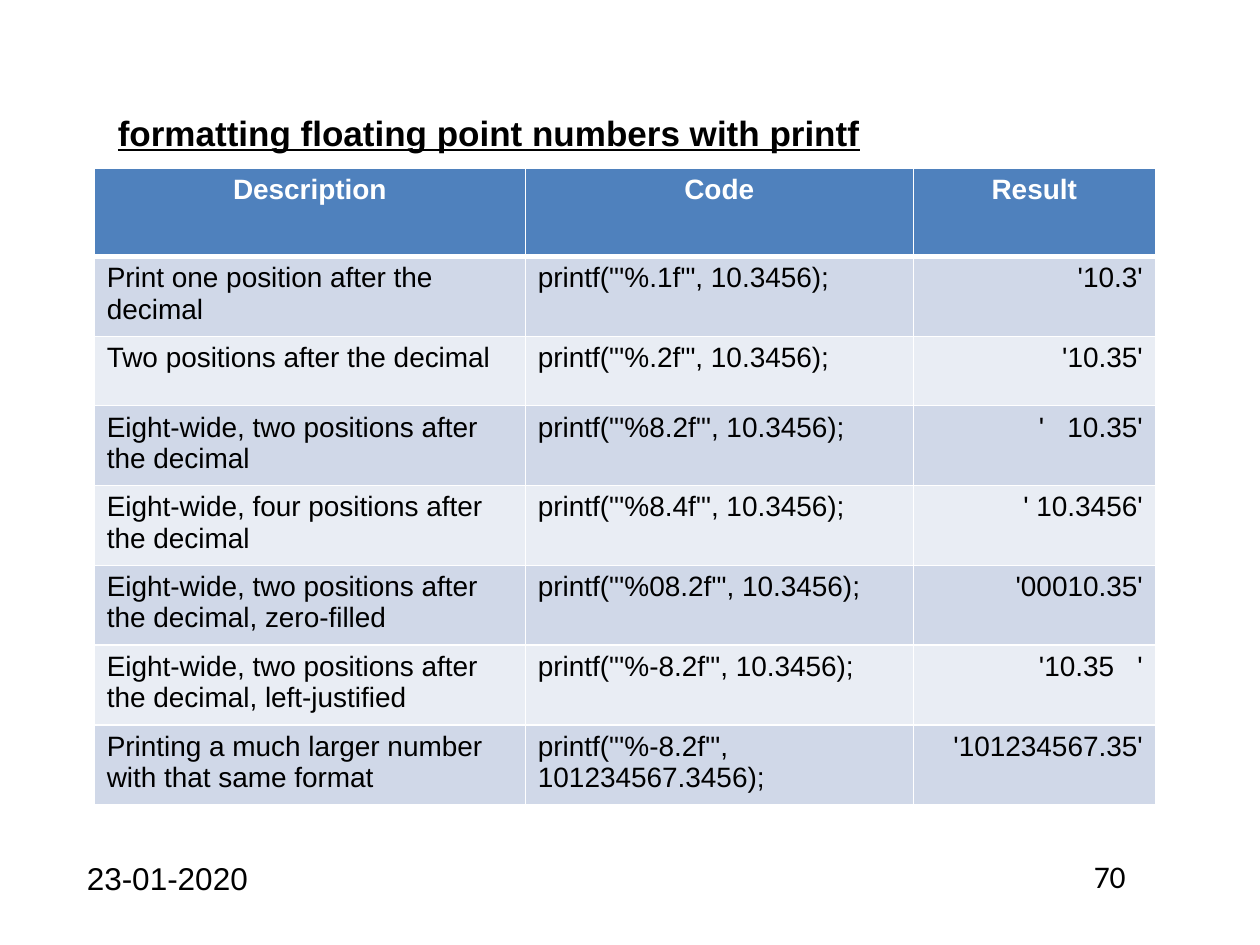
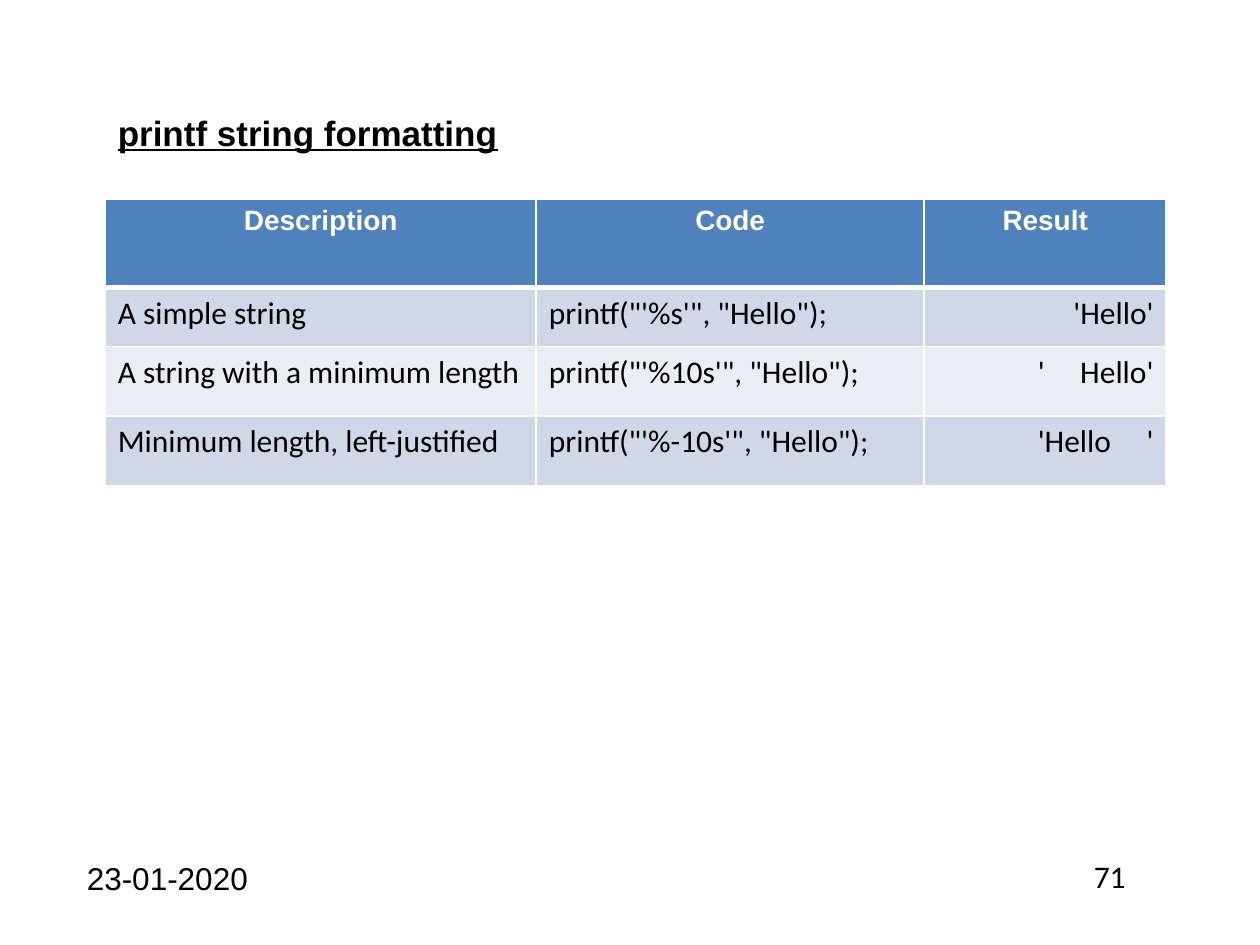
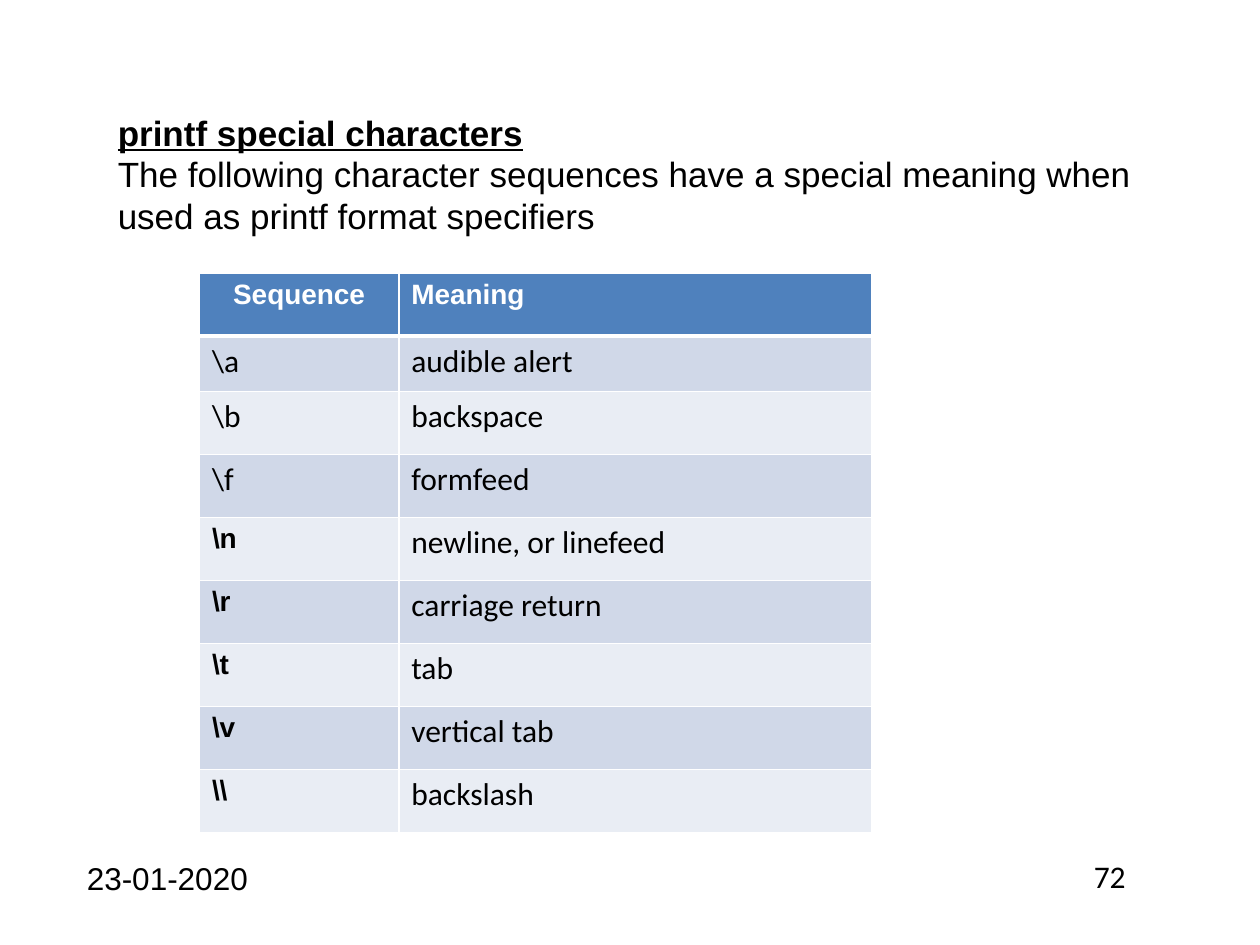
from lxml import etree
from pptx import Presentation
from pptx.dml.color import RGBColor
from pptx.enum.text import MSO_ANCHOR, MSO_AUTO_SIZE, PP_ALIGN
from pptx.oxml.ns import qn
from pptx.util import Cm, Pt

LEFT, CENTER, RIGHT = PP_ALIGN.LEFT, PP_ALIGN.CENTER, PP_ALIGN.RIGHT
TOP = MSO_ANCHOR.TOP
NO_FIT = MSO_AUTO_SIZE.NONE

BLACK = RGBColor(0x00, 0x00, 0x00)
WHITE = RGBColor(0xFF, 0xFF, 0xFF)
HEADER_BLUE = RGBColor(0x4F, 0x81, 0xBD)
DARK_BAND = RGBColor(0xD0, 0xD8, 0xE8)
LIGHT_BAND = RGBColor(0xE9, 0xED, 0xF4)

SANS, HUMANIST = "Arial", "Calibri"
CODE_LAYOUT, INTRO_LAYOUT = 5, 1
FIRST_PAGE = 70
DATE = "23-01-2020"
MARGIN = Cm(2.12)
HEADING_WIDTH = Cm(22.01)

PRINTF_WIDTHS = [8.69, 7.82, 4.88]
PRINTF_ALIGNS = [LEFT, LEFT, RIGHT]
PRINTF_HEADER = ["Description", "Code", "Result"]

FLOAT_ROWS = [
    ["Print one position after the decimal", """printf("'%.1f'", 10.3456);""", "'10.3'"],
    ["Two positions after the decimal", """printf("'%.2f'", 10.3456);""", "'10.35'"],
    ["Eight-wide, two positions after the decimal", """printf("'%8.2f'", 10.3456);""", "'   10.35'"],
    ["Eight-wide, four positions after the decimal", """printf("'%8.4f'", 10.3456);""", "' 10.3456'"],
    ["Eight-wide, two positions after the decimal, zero-filled",
     """printf("'%08.2f'", 10.3456);""", "'00010.35'"],
    ["Eight-wide, two positions after the decimal, left-justified",
     """printf("'%-8.2f'", 10.3456);""", "'10.35   '"],
    ["Printing a much larger number with that same format",
     """printf("'%-8.2f'", 101234567.3456);""", "'101234567.35'"],
]

STRING_ROWS = [
    ["A simple string", """printf("'%s'", "Hello");""", "'Hello'"],
    ["A string with a minimum length", """printf("'%10s'", "Hello");""", "'     Hello'"],
    ["Minimum length, left-justified", """printf("'%-10s'", "Hello");""", "'Hello     '"],
]

SEQUENCE_ROWS = [
    [r"\a", "audible alert"],
    [r"\b", "backspace"],
    [r"\f", "formfeed"],
    [r"\n", "newline, or linefeed"],
    [r"\r", "carriage return"],
    [r"\t", "tab"],
    [r"\v", "vertical tab"],
    [r"\\", "backslash"],
]
BOLD_SEQUENCES = {r"\n", r"\r", r"\t", r"\v", r"\\"}


def write(frame, text, size=18, font=SANS, color=BLACK, bold=False,
          underline=False, align=LEFT, plain=False):
    frame.word_wrap = True
    paragraph = frame.paragraphs[0]
    if plain:
        properties = paragraph._p.get_or_add_pPr()
        properties.set("marL", "0")
        properties.set("indent", "0")
        etree.SubElement(properties, qn("a:buNone"))
        paragraph.space_before = Pt(0)
    paragraph.alignment = align
    run = paragraph.add_run()
    run.text = text
    run.font.size = Pt(size)
    run.font.name = font
    run.font.color.rgb = color
    run.font.bold = bold
    run.font.underline = underline


def place(holder, top, height):
    holder.left, holder.top = MARGIN, Cm(top)
    holder.width, holder.height = HEADING_WIDTH, Cm(height)
    holder.text_frame.auto_size = NO_FIT
    holder.text_frame.vertical_anchor = TOP


def add_label(slide, text, left, top, width, height, **style):
    label = slide.shapes.add_textbox(Cm(left), Cm(top), Cm(width), Cm(height))
    write(label.text_frame, text, **style)


def start_slide(deck, layout, heading, page):
    slide = deck.slides.add_slide(deck.slide_layouts[layout])
    place(slide.shapes.title, 2.12, 1.11)
    write(slide.shapes.title.text_frame, heading, size=20, bold=True, underline=True)
    add_label(slide, DATE, 1.5, 17.2, 3.86, 1.19)
    add_label(slide, str(page), 21.8, 17.15, 2.33, 1.03, font=HUMANIST)
    return slide


def add_intro(slide, text):
    intro = slide.placeholders[1]
    place(intro, 2.95, 1.98)
    write(intro.text_frame, text, size=20, plain=True)


def set_borders(cell, row):
    widths = {"L": 1, "R": 1, "T": 3 if row == 1 else 1, "B": 3 if row == 0 else 1}
    properties = cell._tc.get_or_add_tcPr()
    for side, width in widths.items():
        line = etree.SubElement(properties, qn(f"a:ln{side}"), w=str(Pt(width)))
        fill = etree.SubElement(line, qn("a:solidFill"))
        etree.SubElement(fill, qn("a:srgbClr"), val=str(WHITE))


def fill_cell(cell, row, text, background, **style):
    set_borders(cell, row)
    cell.fill.solid()
    cell.fill.fore_color.rgb = background
    write(cell.text_frame, text, **style)


def add_code_table(slide, left, top, widths, heights, header, rows,
                   header_aligns, aligns, size, font):
    grid = slide.shapes.add_table(
        len(rows) + 1, len(widths), Cm(left), Cm(top), Cm(sum(widths)), Cm(sum(heights))).table
    for column, width in zip(grid.columns, widths):
        column.width = Cm(width)
    for line, height in zip(grid.rows, heights):
        line.height = Cm(height)
    for column, text in enumerate(header):
        fill_cell(grid.cell(0, column), 0, text, HEADER_BLUE, size=16,
                  color=WHITE, bold=True, align=header_aligns[column])
    for row, texts in enumerate(rows, 1):
        band = DARK_BAND if row % 2 else LIGHT_BAND
        for column, text in enumerate(texts):
            if text in BOLD_SEQUENCES:
                style = dict(size=16, font=SANS, bold=True)
            else:
                style = dict(size=size, font=font)
            fill_cell(grid.cell(row, column), row, text, band,
                      align=aligns[column], **style)


def main():
    deck = Presentation()
    deck.slide_width, deck.slide_height = Cm(25.4), Cm(19.05)

    floats = start_slide(deck, CODE_LAYOUT, "formatting floating point numbers with printf", FIRST_PAGE)
    add_code_table(floats, 1.9, 3.39, PRINTF_WIDTHS, [1.78, 1.19] + [1.4] * 2 + [1.45] * 4,
                   PRINTF_HEADER, FLOAT_ROWS, [CENTER] * 3, PRINTF_ALIGNS, 16, SANS)

    strings = start_slide(deck, CODE_LAYOUT, "printf string formatting", FIRST_PAGE + 1)
    add_code_table(strings, 2.12, 4.02, PRINTF_WIDTHS, [1.78, 1.19] + [1.4] * 2,
                   PRINTF_HEADER, STRING_ROWS, [CENTER] * 3, PRINTF_ALIGNS, 18, HUMANIST)

    sequences = start_slide(deck, INTRO_LAYOUT, "printf special characters", FIRST_PAGE + 2)
    add_intro(sequences, "The following character sequences have a special meaning "
                         "when used as printf format specifiers")
    add_code_table(sequences, 4.02, 5.5, [4.02, 9.53], [1.27, 1.12] + [1.27] * 7,
                   ["Sequence", "Meaning"], SEQUENCE_ROWS, [CENTER, LEFT], [LEFT, LEFT], 18, HUMANIST)

    deck.save("out.pptx")


if __name__ == "__main__":
    main()
